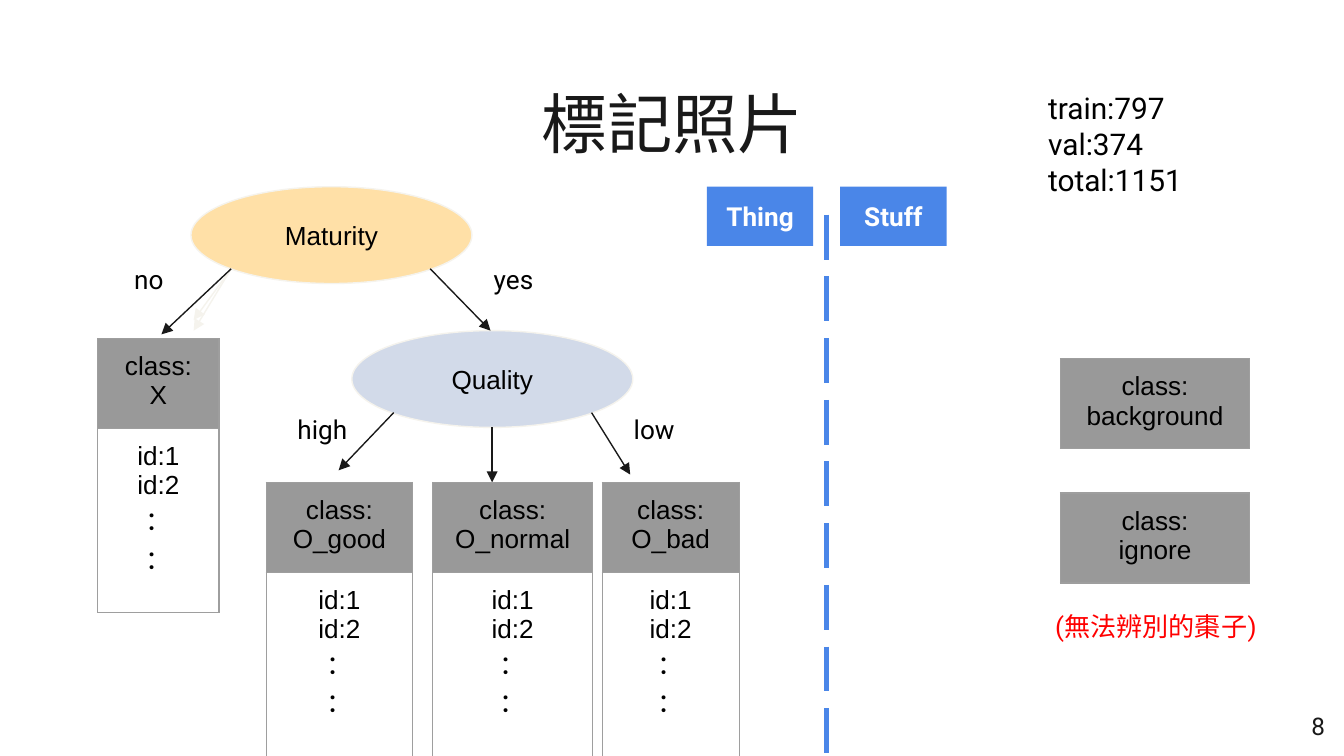
from lxml import etree
from pptx import Presentation
from pptx.dml.color import RGBColor
from pptx.enum.dml import MSO_LINE
from pptx.enum.shapes import MSO_CONNECTOR, MSO_SHAPE
from pptx.enum.text import MSO_ANCHOR as Anchor, PP_ALIGN as Align
from pptx.oxml.ns import qn
from pptx.util import Cm, Pt

COLORS = {
    "ink": "191919", "black": "000000", "white": "FFFFFF", "red": "FF0000",
    "blue": "4A86E8", "yellow": "FFE0A7", "pale_blue": "D2DAE9",
    "cream": "F5F3ED", "gray": "999999", "border": "9E9E9E",
}
INSET = Cm(0.25)
HEADER_H, BODY_H = 1.7, 3.48
BODY = ["id:1", "id:2", "：", "："]


def rgb(name):
    return RGBColor.from_string(COLORS[name])


def write(tf, lines, size=14, font="Roboto", color="black", bold=False,
          align=Align.CENTER):
    """Fill a text frame with one paragraph per line."""
    for i, line in enumerate(lines):
        p = tf.paragraphs[0] if i == 0 else tf.add_paragraph()
        p.text = line
        p.alignment = align
        p.font.size = Pt(size)
        p.font.name = font
        p.font.bold = bold
        p.font.color.rgb = rgb(color)


def set_frame(tf, anchor):
    tf.word_wrap = True
    tf.vertical_anchor = anchor
    tf.margin_left = tf.margin_right = INSET
    tf.margin_top = tf.margin_bottom = INSET


def add_label(s, x, y, w, h, lines, anchor=Anchor.TOP, **style):
    tf = s.shapes.add_textbox(Cm(x), Cm(y), Cm(w), Cm(h)).text_frame
    set_frame(tf, anchor)
    write(tf, lines, **style)
    return tf


def add_box(s, kind, x, y, w, h, text, fill, line=None,
            anchor=Anchor.MIDDLE, **style):
    sp = s.shapes.add_shape(kind, Cm(x), Cm(y), Cm(w), Cm(h))
    sp.shadow.inherit = False
    sp.fill.solid()
    sp.fill.fore_color.rgb = rgb(fill)
    if line:
        sp.line.color.rgb = rgb(line)
        sp.line.width = Pt(0.75)
    else:
        sp.line.fill.background()
    set_frame(sp.text_frame, anchor)
    write(sp.text_frame, [text], **style)


def add_line(s, start, end, color="ink", width=0.75):
    line = s.shapes.add_connector(MSO_CONNECTOR.STRAIGHT,
                                  *map(Cm, start), *map(Cm, end))
    line.line.color.rgb = rgb(color)
    line.line.width = Pt(width)
    etree.SubElement(line.element.spPr, qn("a:effectLst"))
    return line


def add_arrow(s, start, end, color="ink"):
    ln = add_line(s, start, end, color).line
    etree.SubElement(ln._get_or_add_ln(), qn("a:tailEnd"), type="triangle")


def add_borders(cell):
    tc_pr = cell._tc.get_or_add_tcPr()
    for side in ("lnL", "lnR", "lnT", "lnB"):
        ln = etree.SubElement(tc_pr, qn(f"a:{side}"), w=str(Pt(0.75)))
        fill = etree.SubElement(ln, qn("a:solidFill"))
        etree.SubElement(fill, qn("a:srgbClr"), val=COLORS["border"])


def add_class_table(s, x, y, w, name, has_ids=True):
    """One-column table: class name, then an optional list of ids."""
    rows = [(["class:", name], HEADER_H)]
    if has_ids:
        rows.append((BODY, BODY_H))
    total = sum(h for _, h in rows)
    table = s.shapes.add_table(len(rows), 1, Cm(x), Cm(y), Cm(w),
                               Cm(total)).table
    table.first_row = table.horz_banding = False
    for i, (lines, h) in enumerate(rows):
        table.rows[i].height = Cm(h)
        cell = table.cell(i, 0)
        cell.margin_left = cell.margin_right = INSET
        cell.margin_top = cell.margin_bottom = INSET
        add_borders(cell)
        if i == 0:
            cell.fill.solid()
            cell.fill.fore_color.rgb = rgb("gray")
        else:
            cell.fill.background()
        write(cell.text_frame, lines, font="Arial")


def main():
    prs = Presentation()
    prs.slide_width, prs.slide_height = Cm(25.4), Cm(14.29)
    s = prs.slides.add_slide(prs.slide_layouts[6])

    # Title
    title = add_label(s, 2, 1.5, 21.42, 1.6, ["標記照片"], size=35,
                      font="Montserrat", color="ink")
    title.paragraphs[0].line_spacing = 0.9

    # Decision nodes
    for x, y, text, fill in [(3.61, 3.53, "Maturity", "yellow"),
                             (6.65, 6.25, "Quality", "pale_blue")]:
        add_box(s, MSO_SHAPE.OVAL, x, y, 5.31, 1.83, text, fill, "cream",
                font="Arial")

    # Branches
    no_start = (4.37, 5.08)
    for end_y in (6.25, 6.05):
        add_arrow(s, no_start, (3.66, end_y), "cream")
    for start, end in [(no_start, (3.05, 6.32)),
                       ((8.13, 5.08), (9.27, 6.25)),
                       ((7.44, 7.8), (6.4, 8.89)),
                       ((9.3, 8.08), (9.3, 9.12)),
                       ((11.18, 7.8), (11.91, 8.97))]:
        add_arrow(s, start, end)
    for x, y, text in [(2.03, 4.72, "no"), (8.92, 4.72, "yes"),
                       (5.31, 7.57, "high"), (11.58, 7.57, "low")]:
        add_label(s, x, y, 1.57, 1.12, [text])

    # Classes with ids
    for x, y, w, name in [(1.85, 6.4, 2.29, "X"),
                          (5.03, 9.12, 2.77, "O_good"),
                          (8.18, 9.12, 3.02, "O_normal"),
                          (11.38, 9.12, 2.59, "O_bad")]:
        add_class_table(s, x, y, w, name)

    # Classes without ids
    for y, name in [(6.78, "background"), (9.32, "ignore")]:
        add_class_table(s, 20.04, y, 3.58, name, has_ids=False)
    add_label(s, 19.56, 11.28, 4.57, 1.12, ["(無法辨別的棗子)"], color="red")

    # Divider between things and stuff
    divider = add_line(s, (15.62, 4.06), (15.62, 14.29), "blue", 3)
    divider.line.dash_style = MSO_LINE.LONG_DASH
    for x, text in [(13.36, "Thing"), (15.88, "Stuff")]:
        add_box(s, MSO_SHAPE.RECTANGLE, x, 3.53, 2.01, 1.12, text, "blue",
                anchor=Anchor.TOP, color="white", bold=True)

    # Photo counts and page number
    add_label(s, 19.56, 1.45, 5.54, 2.57,
              ["train:797", "val:374", "total:1151"], size=16,
              align=Align.LEFT)
    add_label(s, 23.77, 13.18, 1.52, 1.09, ["8"], Anchor.MIDDLE, size=13,
              color="ink", align=Align.RIGHT)

    prs.save("out.pptx")


if __name__ == "__main__":
    main()
